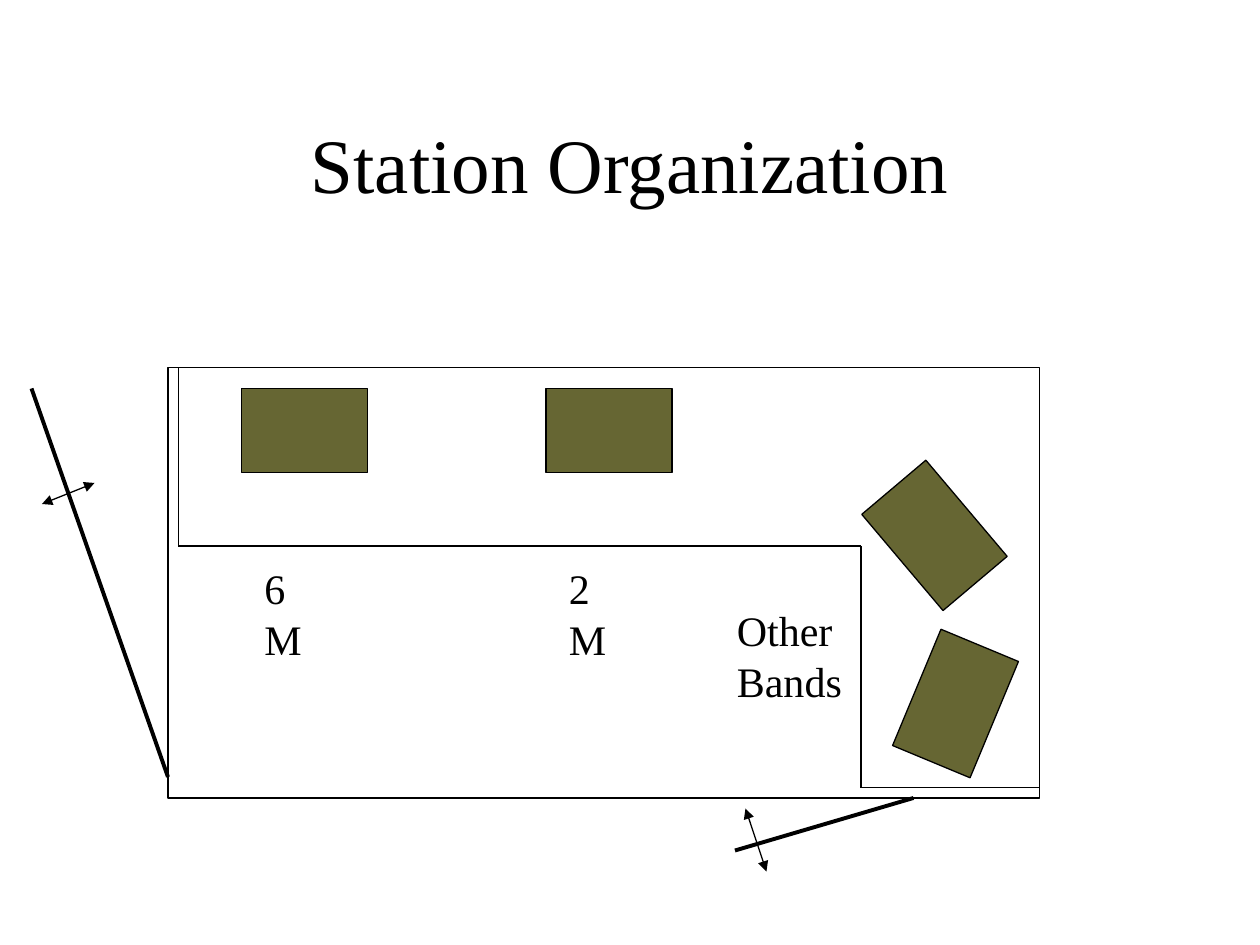
from typing import NamedTuple

from pptx import Presentation
from pptx.dml.color import RGBColor
from pptx.enum.shapes import MSO_CONNECTOR as Connector, MSO_SHAPE as Shape
from pptx.enum.text import MSO_ANCHOR as Anchor, MSO_AUTO_SIZE as AutoSize, PP_ALIGN as Align
from pptx.oxml.ns import qn
from pptx.util import Emu, Pt
from lxml.etree import SubElement

BLACK = RGBColor(0x00, 0x00, 0x00)
OLIVE = RGBColor(0x66, 0x66, 0x33)
FONT = "Times New Roman"
THIN, THICK = 0.75, 2.25
EMU_PER_PX = 9525


class Box(NamedTuple):
    left: int
    top: int
    width: int
    height: int
    rotation: float = 0
    fill: RGBColor | None = None


class Segment(NamedTuple):
    x1: int
    y1: int
    x2: int
    y2: int
    weight: float = THIN
    arrows: bool = False


class Label(NamedTuple):
    left: int
    top: int
    width: int
    height: int
    lines: tuple[str, ...]


def px(*values: int) -> list[Emu]:
    return [Emu(value * EMU_PER_PX) for value in values]


def radio(left: int, top: int, rotation: float = 0) -> Box:
    return Box(left, top, 96, 64, rotation, OLIVE)


def draw_box(shapes, box: Box) -> None:
    rectangle = shapes.add_shape(Shape.RECTANGLE, *px(*box[:4]))
    rectangle.rotation = box.rotation
    rectangle.shadow.inherit = False
    if box.fill is None:
        rectangle.fill.background()
    else:
        rectangle.fill.solid()
        rectangle.fill.fore_color.rgb = box.fill
    rectangle.line.color.rgb = BLACK
    rectangle.line.width = Pt(THIN)


def draw_segment(shapes, segment: Segment) -> None:
    connector = shapes.add_connector(Connector.STRAIGHT, *px(*segment[:4]))
    connector.line.color.rgb = BLACK
    connector.line.width = Pt(segment.weight)
    properties = connector._element.spPr
    if segment.arrows:
        outline = properties.find(qn("a:ln"))
        for end in ("a:headEnd", "a:tailEnd"):
            SubElement(outline, qn(end), type="triangle")
    SubElement(properties, qn("a:effectLst"))


def write_lines(frame, lines: tuple[str, ...], size: int, align: Align) -> None:
    frame.text = "\n".join(lines)
    for paragraph in frame.paragraphs:
        paragraph.alignment = align
        paragraph.font.name = FONT
        paragraph.font.size = Pt(size)
        paragraph.font.color.rgb = BLACK


def draw_label(shapes, label: Label) -> None:
    frame = shapes.add_textbox(*px(*label[:4])).text_frame
    frame.word_wrap = False
    frame.auto_size = AutoSize.SHAPE_TO_FIT_TEXT
    write_lines(frame, label.lines, 24, Align.LEFT)


ROOM = Box(128, 280, 664, 328)
BENCH_EDGES = [
    Segment(136, 416, 656, 416),
    Segment(656, 416, 656, 600),
    Segment(136, 416, 136, 280),
    Segment(656, 600, 792, 600),
]
DOORS = [
    Segment(128, 592, 24, 296, THICK),
    Segment(32, 384, 72, 368, arrows=True),
    Segment(696, 608, 560, 648, THICK),
    Segment(568, 616, 584, 664, arrows=True),
]
BAND_LABELS = [
    Label(192, 424, 71, 48, ("6 M",)),
    Label(424, 424, 71, 48, ("2 M",)),
    Label(552, 456, 99, 86, ("Other", "Bands")),
]
RADIOS = [radio(184, 296), radio(416, 296), radio(664, 376, 49.8), radio(680, 504, 112.6)]


def main() -> None:
    presentation = Presentation()
    presentation.slide_width, presentation.slide_height = px(960, 720)
    slide = presentation.slides.add_slide(presentation.slide_layouts[5])
    shapes = slide.shapes

    title = shapes.title
    title.left, title.top, title.width, title.height = px(72, 64, 816, 120)
    title.text_frame.vertical_anchor = Anchor.MIDDLE
    write_lines(title.text_frame, ("Station Organization",), 44, Align.CENTER)

    draw_box(shapes, ROOM)
    for segment in BENCH_EDGES + DOORS:
        draw_segment(shapes, segment)
    for label in BAND_LABELS:
        draw_label(shapes, label)
    for box in RADIOS:
        draw_box(shapes, box)

    presentation.save("out.pptx")


if __name__ == "__main__":
    main()
